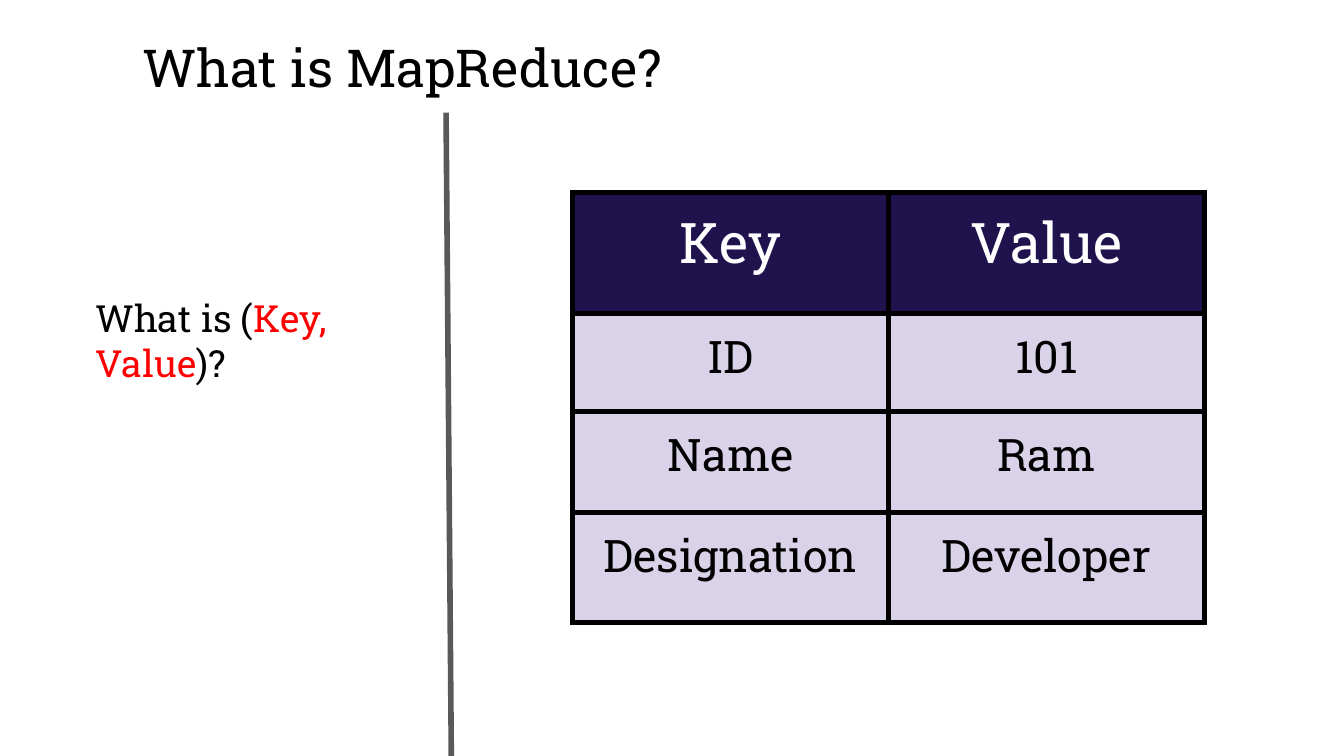
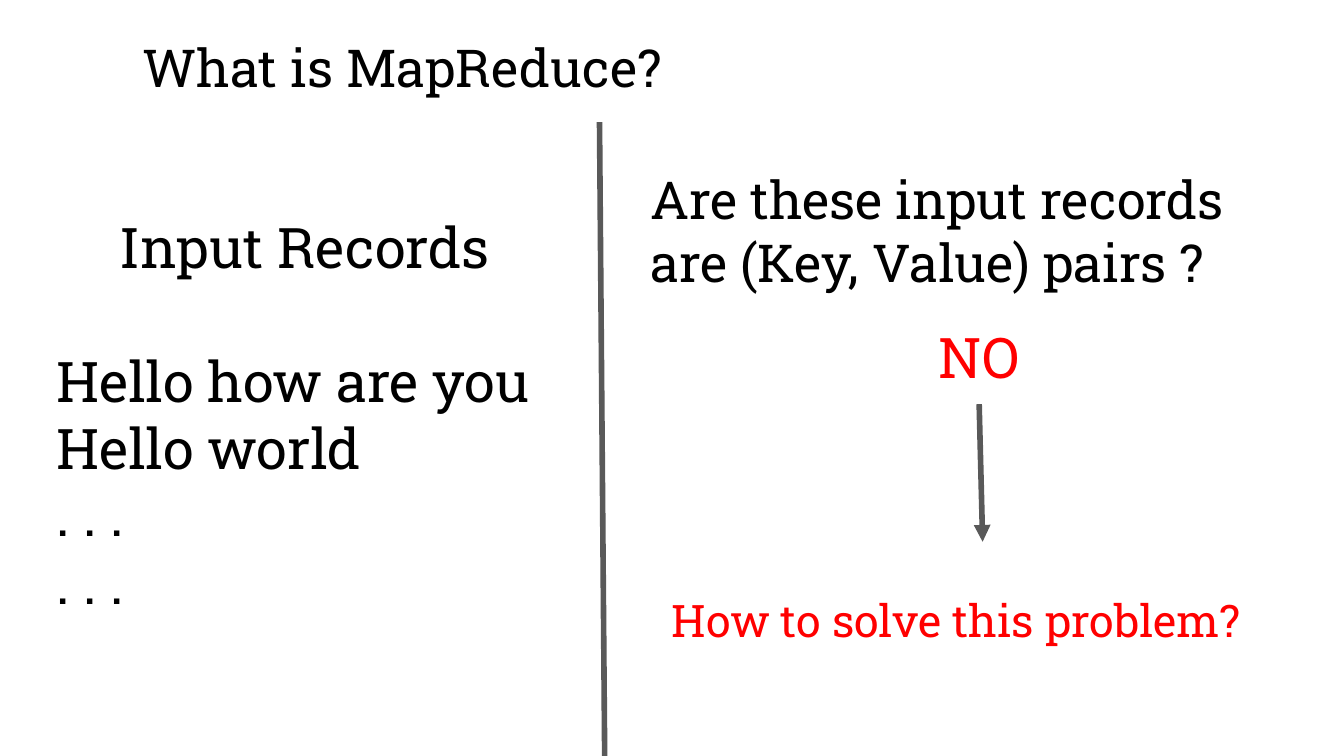
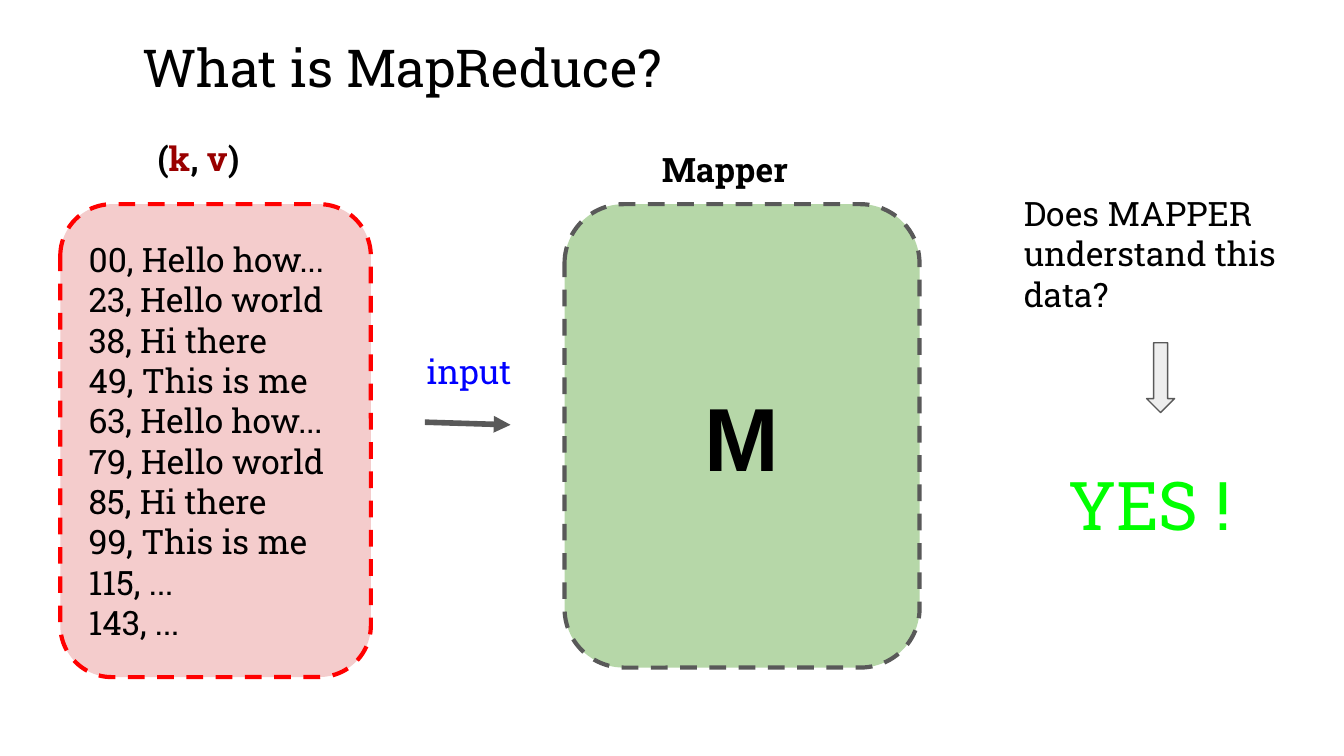
from dataclasses import dataclass
from typing import Any, NamedTuple, Optional

from lxml.etree import SubElement
from pptx import Presentation
from pptx.dml.color import RGBColor
from pptx.enum.dml import MSO_LINE
from pptx.enum.shapes import MSO_CONNECTOR, MSO_SHAPE
from pptx.enum.text import MSO_ANCHOR, MSO_AUTO_SIZE, PP_ALIGN
from pptx.oxml.ns import qn
from pptx.util import Cm, Pt


# Theme
@dataclass(frozen=True)
class Theme:
    face: str = "Roboto Slab"
    sans: str = "Arial"
    black: str = "000000"
    white: str = "FFFFFF"
    gray: str = "595959"
    pale: str = "EEEEEE"
    red: str = "FF0000"
    dark: str = "990000"
    rose: str = "F4CCCC"
    green: str = "B6D7A8"
    lime: str = "00FF00"
    blue: str = "0000FF"
    navy: str = "20124D"
    lilac: str = "D9D2E9"
    small: int = 18
    note: int = 20
    body: int = 24
    title: int = 28
    large: int = 30
    shout: int = 36
    giant: int = 48
    thin: float = 0.75
    dash: float = 2.25
    thick: float = 3
    inset: float = 0.25


T = Theme()
HEAD = "What is MapReduce?"
LEFT, MID = PP_ALIGN.LEFT, PP_ALIGN.CENTER


class Box(NamedTuple):
    x: float
    y: float
    wide: float
    high: float

    def cm(self) -> list[Cm]:
        return [Cm(v) for v in self]


class Run(NamedTuple):
    text: str
    color: str = T.black


class Line(NamedTuple):
    runs: tuple[Run, ...]
    align: Any = LEFT
    gap: float = 0


@dataclass(frozen=True)
class Label:
    box: Box
    lines: tuple[Line, ...]
    size: int = T.small
    bold: bool = False
    face: str = T.face
    edge: Optional[str] = None


@dataclass(frozen=True)
class Card(Label):
    fill: str = T.pale


# Shared helpers
def apply(target: Any, form: dict[str, Any]) -> None:
    for name, value in form.items():
        setattr(target, name, value)


def rgb(color: str) -> RGBColor:
    return RGBColor.from_string(color)


def paint(target: Any, color: str) -> None:
    target.fill.solid()
    target.fill.fore_color.rgb = rgb(color)


def stroke(line: Any, color: str, width: float) -> None:
    line.color.rgb = rgb(color)
    line.width = Pt(width)


def one(text: str, color: str = T.black, align: Any = LEFT, gap: float = 0) -> Line:
    return Line((Run(text, color),), align, gap)


def write(frame: Any, lines: tuple[Line, ...], size: int,
          bold: bool = False, face: str = T.face) -> None:
    form = {"name": face, "size": Pt(size), "bold": bold}
    for i, line in enumerate(lines):
        para = frame.add_paragraph() if i else frame.paragraphs[0]
        para.alignment = line.align
        if line.gap:
            para.space_before = Pt(line.gap)
        for text, color in line.runs:
            run = para.add_run()
            run.text = text
            apply(run.font, form)
            run.font.color.rgb = rgb(color)


def frame_up(frame: Any, anchor: Any, fit: Any) -> None:
    pad = Cm(T.inset)
    apply(frame, {
        "word_wrap": True, "auto_size": fit, "vertical_anchor": anchor,
        "margin_left": pad, "margin_right": pad,
        "margin_top": pad, "margin_bottom": pad,
    })


def start(deck: Any) -> Any:
    slide = deck.slides.add_slide(deck.slide_layouts[5])
    title = slide.shapes.title
    names = ("left", "top", "width", "height")
    apply(title, dict(zip(names, Box(2.44, 0.41, 11.73, 1.7).cm())))
    frame_up(title.text_frame, MSO_ANCHOR.TOP, MSO_AUTO_SIZE.NONE)
    write(title.text_frame, (one(HEAD),), T.title)
    return slide


def add_label(slide: Any, label: Label) -> Any:
    if label.edge:
        shape = slide.shapes.add_shape(MSO_SHAPE.RECTANGLE, *label.box.cm())
        shape.shadow.inherit = False
        shape.fill.background()
        stroke(shape.line, label.edge, T.thin)
    else:
        shape = slide.shapes.add_textbox(*label.box.cm())
    frame_up(shape.text_frame, MSO_ANCHOR.TOP, MSO_AUTO_SIZE.SHAPE_TO_FIT_TEXT)
    write(shape.text_frame, label.lines, label.size, label.bold, label.face)
    return shape


def add_card(slide: Any, card: Card) -> None:
    shape = slide.shapes.add_shape(MSO_SHAPE.ROUNDED_RECTANGLE, *card.box.cm())
    shape.shadow.inherit = False
    paint(shape, card.fill)
    stroke(shape.line, card.edge or T.gray, T.dash)
    shape.line.dash_style = MSO_LINE.DASH
    frame_up(shape.text_frame, MSO_ANCHOR.MIDDLE, MSO_AUTO_SIZE.NONE)
    write(shape.text_frame, card.lines, card.size, card.bold, card.face)


def add_line(slide: Any, x: float, y: float, dx: float, dy: float,
             arrow: bool = False) -> Any:
    line = slide.shapes.add_connector(
        MSO_CONNECTOR.STRAIGHT, Cm(x), Cm(y), Cm(x + dx), Cm(y + dy))
    stroke(line.line, T.gray, T.thick)
    if arrow:
        SubElement(line.line._get_or_add_ln(), qn("a:tailEnd"), type="triangle")
    SubElement(line._element.spPr, qn("a:effectLst"))
    return line


def split(slide: Any, x: float, y: float) -> None:
    add_line(slide, x, y, 0.1, 12.27)


# Table
def rule(cell: Any) -> None:
    props = cell._tc.get_or_add_tcPr()
    for i, side in enumerate(("a:lnL", "a:lnR", "a:lnT", "a:lnB")):
        edge = props.makeelement(qn(side), {"w": str(Pt(T.thick))})
        solid = SubElement(edge, qn("a:solidFill"))
        SubElement(solid, qn("a:srgbClr"), val=T.black)
        props.insert(i, edge)


def add_grid(slide: Any, x: float, y: float, wide: float,
             highs: tuple[float, ...], rows: tuple[tuple[str, ...], ...]) -> None:
    count = len(rows[0])
    box = Box(x, y, wide * count, sum(highs))
    table = slide.shapes.add_table(len(rows), count, *box.cm()).table
    apply(table, {"first_row": False, "horz_banding": False})
    for col in table.columns:
        col.width = Cm(wide)
    pad = Cm(T.inset)
    form = {"margin_left": pad, "margin_right": pad, "margin_top": pad,
            "margin_bottom": pad, "vertical_anchor": MSO_ANCHOR.TOP}
    for r, row in enumerate(rows):
        table.rows[r].height = Cm(highs[r])
        fill, ink, size = ((T.lilac, T.black, T.body) if r
                           else (T.navy, T.white, T.large))
        for c, text in enumerate(row):
            cell = table.cell(r, c)
            apply(cell, form)
            paint(cell, fill)
            rule(cell)
            write(cell.text_frame, (one(text, ink, MID),), size)


# Slide 1: keys and values
def make_pairs(deck: Any) -> None:
    slide = start(deck)
    split(slide, 8.43, 2.13)
    ask = Line((Run("What is ("), Run("Key, Value", T.red), Run(")?")))
    add_label(slide, Label(Box(1.55, 5.33, 6.17, 2.24), (ask,), T.note))
    add_grid(slide, 10.82, 3.63, 5.97, (2.29, 1.85, 1.91, 2.08), (
        ("Key", "Value"),
        ("ID", "101"),
        ("Name", "Ram"),
        ("Designation", "Developer"),
    ))


# Slide 2: input records
def make_input(deck: Any) -> None:
    slide = start(deck)
    split(slide, 11.33, 2.31)
    lines = (one("Input Records ", align=MID), one("Hello how are you", gap=36),
             one("Hello world"), one(". . ."), one(". . ."))
    add_label(slide, Label(Box(0.81, 3.76, 10.16, 8.2), lines, T.large))
    add_label(slide, Label(
        Box(12.04, 2.92, 12.22, 2.9),
        (one("Are these input records are (Key, Value) pairs ?"),), T.title))
    reply = add_label(slide, Label(
        Box(15.52, 5.84, 5.97, 1.8), (one("NO", T.red, MID),), T.large,
        edge=T.white))
    add_label(slide, Label(
        Box(12.45, 10.95, 11.43, 1.55),
        (one("How to solve this problem?", T.red),), T.body))
    arrow = add_line(slide, 18.5, 7.64, 0.07, 2.6, arrow=True)
    arrow.begin_connect(reply, 2)


# Slide 3: mapper
def make_mapper(deck: Any) -> None:
    slide = start(deck)
    add_label(slide, Label(Box(19.1, 3.4, 5.59, 2.82),
                           (one("Does MAPPER understand this data?"),)))
    down = slide.shapes.add_shape(
        MSO_SHAPE.DOWN_ARROW, *Box(21.67, 6.48, 0.53, 1.32).cm())
    down.shadow.inherit = False
    paint(down, T.pale)
    stroke(down.line, T.gray, T.thin)
    add_label(slide, Label(Box(19.94, 8.51, 4.17, 2.06),
                           (one("YES !", T.lime),), T.shout, edge=T.white))

    data = ("00, Hello how...", "23, Hello world", "38, Hi there",
            "49, This is me", "63, Hello how...", "79, Hello world",
            "85, Hi there", "99, This is me", "115, ...", "143, ...")
    add_card(slide, Card(Box(1.14, 3.86, 5.87, 8.94),
                         tuple(one(text) for text in data),
                         edge=T.red, fill=T.rose))
    pair = Line((Run("("), Run("k", T.dark), Run(", "), Run("v", T.dark),
                 Run(")")), MID)
    add_label(slide, Label(Box(2.11, 2.36, 3.28, 1.27), (pair,), bold=True,
                           edge=T.white))
    add_line(slide, 8.03, 7.98, 1.62, 0.05, arrow=True)
    add_card(slide, Card(Box(10.67, 3.86, 6.71, 8.76), (one("M", align=MID),),
                         T.giant, True, T.sans, T.gray, T.green))
    add_label(slide, Label(Box(7.67, 6.38, 2.39, 1.27),
                           (one("input", T.blue, MID),)))
    add_label(slide, Label(Box(11.73, 2.57, 3.94, 1.27),
                           (one("Mapper", align=MID),), bold=True))


def main() -> None:
    deck = Presentation()
    apply(deck, {"slide_width": Cm(25.4), "slide_height": Cm(14.29)})
    for make in (make_pairs, make_input, make_mapper):
        make(deck)
    deck.save("out.pptx")


if __name__ == "__main__":
    main()
